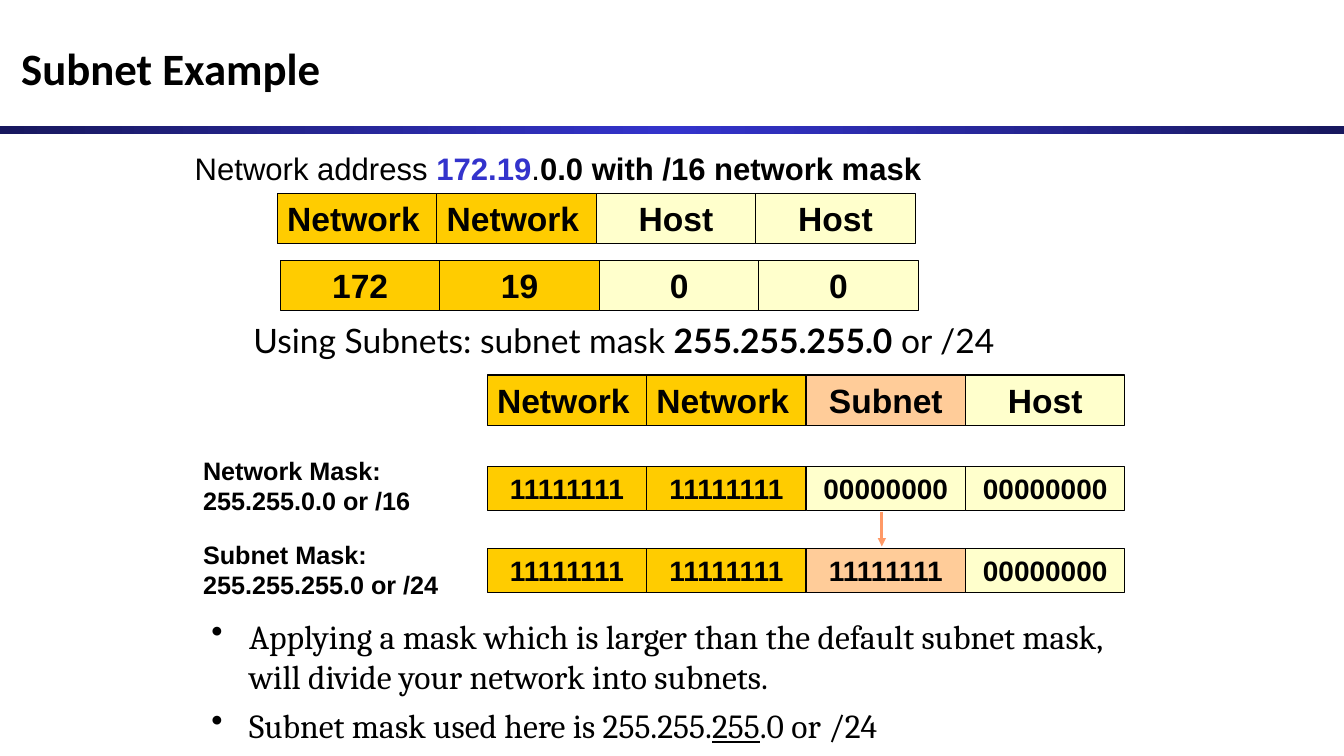
"""Builds a slide that explains subnet masks with rows of address octets."""
import copy
from dataclasses import dataclass

import pptx
import pptx.dml.color
import pptx.enum.shapes
import pptx.enum.text
import pptx.oxml
import pptx.oxml.ns
import pptx.util

Cm = pptx.util.Cm
Pt = pptx.util.Pt
ALIGN = pptx.enum.text.PP_ALIGN
RECTANGLE = pptx.enum.shapes.MSO_SHAPE.RECTANGLE


def rgb(value):
    return pptx.dml.color.RGBColor.from_string(value)


@dataclass(frozen=True)
class Theme:
    black = rgb("000000")
    blue = rgb("3333CC")
    navy = rgb("18185E")
    network = rgb("FFCC00")
    host = rgb("FFFFCC")
    subnet = rgb("FFCC99")
    arrow = rgb("FF9966")
    title_size = Pt(32)
    large_size = Pt(24)
    address_size = Pt(22.2)
    binary_size = Pt(20)
    label_size = Pt(18)


theme = Theme()


def add_run(paragraph, text, font, size, bold=False, color=theme.black, underline=None):
    run = paragraph.add_run()
    run.text = text
    run.font.name = font
    run.font.size = size
    run.font.bold = bold
    run.font.underline = underline
    run.font.color.rgb = color


presentation = pptx.Presentation()
presentation.slide_width = Cm(33.88)
presentation.slide_height = Cm(19.05)
slide = presentation.slides.add_slide(presentation.slide_layouts[5])

title = slide.shapes.title
title.left, title.top, title.width, title.height = Cm(0.28), Cm(0.43), Cm(33.3), Cm(2.54)
title.text_frame.vertical_anchor = pptx.enum.text.MSO_ANCHOR.MIDDLE
title.text_frame.auto_size = pptx.enum.text.MSO_AUTO_SIZE.NONE
title_paragraph = title.text_frame.paragraphs[0]
title_paragraph.alignment = ALIGN.LEFT
add_run(title_paragraph, "Subnet Example", "Calibri", theme.title_size, True)

bar = slide.shapes.add_shape(RECTANGLE, 0, Cm(3.18), Cm(33.88), Cm(0.2))
bar.shadow.inherit = False
bar.line.fill.background()
bar.fill.gradient()
bar.fill.gradient_angle = 0
stop_list = bar._element.spPr.find(".//" + pptx.oxml.ns.qn("a:gsLst"))
stop_list.append(copy.deepcopy(stop_list[-1]))
bar_stops = [(0, theme.navy), (0.5, theme.blue), (1, theme.navy)]
for stop, (position, color) in zip(bar.fill.gradient_stops, bar_stops):
    stop.position = position
    stop.color.rgb = color

ones, zeros = "1" * 8, "0" * 8
octet_width = 4.02
octet_rows = [
    (6.99, 4.87, 1.27, theme.large_size, ["Network", "Network", "Host", "Host"], "nnhh"),
    (7.07, 6.56, 1.27, theme.large_size, ["172", "19", "0", "0"], "nnhh"),
    (12.28, 9.45, 1.27, theme.large_size, ["Network", "Network", "Subnet", "Host"], "nnsh"),
    (12.28, 11.76, 1.11, theme.binary_size, [ones, ones, zeros, zeros], "nnhh"),
    (12.28, 13.82, 1.11, theme.binary_size, [ones, ones, ones, zeros], "nnsh"),
]
octet_fills = {"n": theme.network, "h": theme.host, "s": theme.subnet}
for left, top, height, size, words, kinds in octet_rows:
    for column, (word, kind) in enumerate(zip(words, kinds)):
        octet = slide.shapes.add_shape(
            RECTANGLE, Cm(left + column * octet_width), Cm(top), Cm(octet_width), Cm(height))
        octet.shadow.inherit = False
        octet.fill.solid()
        octet.fill.fore_color.rgb = octet_fills[kind]
        octet.line.color.rgb = theme.black
        octet.line.width = Pt(0.75)
        octet_paragraph = octet.text_frame.paragraphs[0]
        octet_paragraph.alignment = ALIGN.LEFT if word == "Network" else ALIGN.CENTER
        add_run(octet_paragraph, word, "Arial", size, True)

captions = [
    (4.66, 3.81, 23.92, 1.06, "Arial", theme.address_size, 0.8, [
        ("Network address ", False, theme.black),
        ("172.19", True, theme.blue),
        (".", False, theme.black),
        ("0.0 with /16 network mask", True, theme.black)]),
    (6.14, 7.94, 21.8, 1.28, "Lato", theme.large_size, 1, [
        ("Using Subnets: subnet mask ", False, theme.black),
        ("255.255.255.0", True, theme.black),
        (" or /24", False, theme.black)]),
    (4.87, 11.35, 7.2, 1.78, "Arial", theme.label_size, 1, [
        ("Network Mask: 255.255.0.0 or /16", True, theme.black)]),
    (4.87, 13.47, 7.2, 1.78, "Arial", theme.label_size, 1, [
        ("Subnet Mask: 255.255.255.0 or /24", True, theme.black)]),
]
for left, top, width, height, font, size, spacing, runs in captions:
    caption = slide.shapes.add_textbox(Cm(left), Cm(top), Cm(width), Cm(height))
    caption.text_frame.word_wrap = True
    caption_paragraph = caption.text_frame.paragraphs[0]
    caption_paragraph.line_spacing = spacing
    for text, bold, color in runs:
        add_run(caption_paragraph, text, font, size, bold, color)

notes_box = slide.shapes.add_textbox(Cm(5.08), Cm(15.39), Cm(23.7), Cm(4.29))
notes_box.text_frame.word_wrap = True
bullets = [
    [("Applying a mask which is larger than the default subnet mask, "
      "will divide your network into subnets.", None)],
    [("Subnet mask used here is 255.255.", None), ("255", True), (".0 or /24", None)],
]
for index, runs in enumerate(bullets):
    bullet = notes_box.text_frame.add_paragraph() if index else notes_box.text_frame.paragraphs[0]
    bullet.space_before = Pt(6)
    properties = bullet._p.get_or_add_pPr()
    properties.set("marL", str(Cm(0.95)))
    properties.set("indent", str(-Cm(0.95)))
    properties.append(pptx.oxml.parse_xml(
        f'<a:buChar {pptx.oxml.ns.nsdecls("a")} char="•"/>'))
    for text, underline in runs:
        add_run(bullet, text, "Cambria", theme.large_size, underline=underline)

arrow = slide.shapes.add_connector(
    pptx.enum.shapes.MSO_CONNECTOR.STRAIGHT, Cm(22.23), Cm(12.9), Cm(22.23), Cm(13.77))
arrow.line.color.rgb = theme.arrow
arrow.line.width = Pt(2)
arrow.line._get_or_add_ln().append(pptx.oxml.parse_xml(
    f'<a:tailEnd {pptx.oxml.ns.nsdecls("a")} type="triangle"/>'))
arrow._element.spPr.append(pptx.oxml.parse_xml(
    f'<a:effectLst {pptx.oxml.ns.nsdecls("a")}/>'))

presentation.save("out.pptx")
